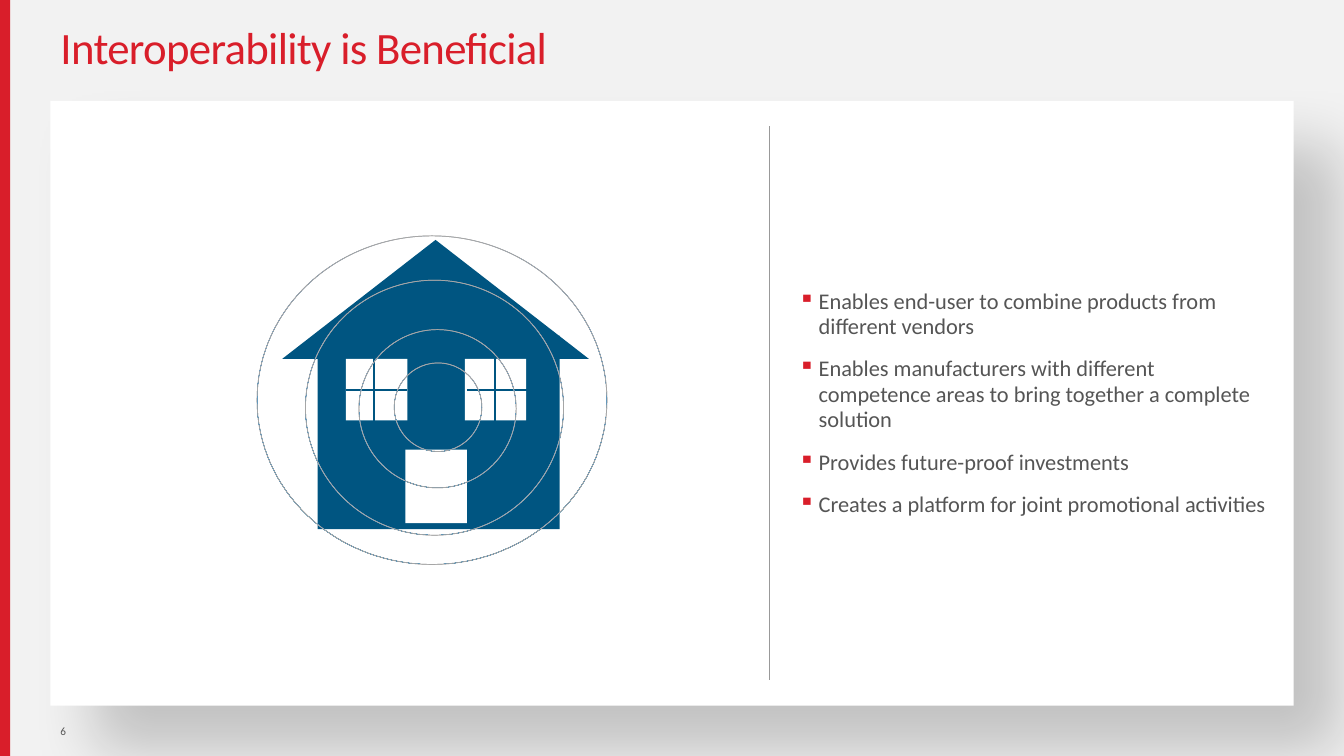
from lxml import etree
from pptx import Presentation
from pptx.dml.color import RGBColor
from pptx.enum.shapes import MSO_CONNECTOR as Link, MSO_SHAPE as Kind
from pptx.enum.text import MSO_ANCHOR as Anchor, PP_ALIGN as Align
from pptx.oxml import parse_xml
from pptx.oxml.ns import nsdecls, qn
from pptx.util import Inches, Pt

RED = RGBColor(0xD9, 0x1E, 0x2A)
BLUE = RGBColor(0x00, 0x55, 0x81)
WHITE = RGBColor(0xFF, 0xFF, 0xFF)
PALE = RGBColor(0xF2, 0xF2, 0xF2)
TEXT = RGBColor(0x55, 0x55, 0x55)
RING = RGBColor(0xA6, 0xA6, 0xA6)
RULE = RGBColor(0x99, 0x99, 0x99)


def add_form(home, kind, box, fill):
    form = home.add_shape(kind, *[Inches(n) for n in box])
    form.shadow.inherit = False
    form.fill.solid()
    form.fill.fore_color.rgb = fill
    form.line.fill.background()
    return form


def add_line(home, ends, color, width):
    line = home.add_connector(Link.STRAIGHT, *[Inches(n) for n in ends])
    line.line.color.rgb = color
    line.line.width = Pt(width)
    etree.SubElement(line._element.spPr, qn("a:effectLst"))


deck = Presentation()
deck.slide_width, deck.slide_height = Inches(13.33), Inches(7.5)
slide = deck.slides.add_slide(deck.slide_layouts[5])
slide.background.fill.solid()
slide.background.fill.fore_color.rgb = PALE
shapes = slide.shapes

# Red edge and white card with a soft shadow
add_form(shapes, Kind.RECTANGLE, (0, 0, 0.1, 7.5), RED)
card = add_form(shapes, Kind.RECTANGLE, (0.5, 1, 12.33, 6), WHITE)
glow = card._element.spPr.find(qn("a:effectLst"))
glow.append(parse_xml(
    f'<a:outerShdw {nsdecls("a")} blurRad="{Pt(45)}" dist="{Pt(45)}" dir="2700000" '
    'algn="tl" rotWithShape="0"><a:srgbClr val="000000"><a:alpha val="20000"/>'
    '</a:srgbClr></a:outerShdw>'))

# Title
title = shapes.title
title.left, title.top = Inches(0.5), Inches(0)
title.width, title.height = Inches(12.33), Inches(1)
frame = title.text_frame
frame.vertical_anchor = Anchor.MIDDLE
para = frame.paragraphs[0]
para.alignment = Align.LEFT
para.line_spacing = 0.9
run = para.add_run()
run.text = "Interoperability is Beneficial"
run.font.name, run.font.size = "Calibri", Pt(32)
run.font.color.rgb = RED
run._r.get_or_add_rPr().set("spc", "-50")

# Bullet list
points = [
    "Enables end-user to combine products from different vendors",
    "Enables manufacturers with different competence areas to bring together "
    "a complete solution",
    "Provides future-proof investments",
    "Creates a platform for joint promotional activities",
]
body = shapes.add_textbox(Inches(7.92), Inches(1.25), Inches(4.67), Inches(5.5))
frame = body.text_frame
frame.word_wrap = True
frame.vertical_anchor = Anchor.MIDDLE
frame.margin_left = frame.margin_right = 0
for i, point in enumerate(points):
    para = frame.add_paragraph() if i else frame.paragraphs[0]
    para.line_spacing = 0.95
    para.space_before = Pt(12 if i else 0)
    props = para._p.get_or_add_pPr()
    props.set("marL", str(Inches(0.2)))
    props.set("indent", str(-Inches(0.2)))
    tint = etree.SubElement(props, qn("a:buClr"))
    etree.SubElement(tint, qn("a:srgbClr"), val=str(RED))
    etree.SubElement(props, qn("a:buChar"), char="▪")
    run = para.add_run()
    run.text = point
    run.font.name, run.font.size = "Calibri", Pt(16)
    run.font.color.rgb = TEXT

# House: wall, roof, windows, door
house = shapes.add_group_shape().shapes
add_form(house, Kind.RECTANGLE, (3.15, 3.33, 2.4, 1.92), BLUE)
add_form(house, Kind.ISOSCELES_TRIANGLE, (2.8, 2.38, 3.04, 1.18), BLUE)
for left, top, high in [(3.43, 3.56, 0.61), (4.61, 3.56, 0.61), (4.02, 4.46, 0.73)]:
    add_form(house, Kind.RECTANGLE, (left, top, 0.61, high), WHITE)

# Window bars
for left in (3.43, 4.63):
    add_line(house, (left + 0.28, 3.55, left + 0.28, 4.18), BLUE, 1)
    add_line(house, (left, 3.87, left + 0.61, 3.87), BLUE, 1)

# Signal rings
rings = [
    (2.55, 2.34, 3.47, 3.26),
    (3.56, 3.27, 1.56, 1.57),
    (3.91, 3.6, 0.87, 0.88),
    (3.03, 2.78, 2.56, 2.53),
]
stops = [(0, "4B94E0"), (50, "0086D9"), (100, "0077C1")]
for box in rings:
    ring = add_form(house, Kind.DONUT, box, BLUE)
    ring.adjustments[0] = 0
    ring.fill.gradient()
    ring.fill.gradient_angle = 270
    marks = ring._element.spPr.find(qn("a:gradFill")).find(qn("a:gsLst"))
    for mark in list(marks):
        marks.remove(mark)
    for spot, tone in stops:
        mark = etree.SubElement(marks, qn("a:gs"), pos=str(spot * 1000))
        etree.SubElement(mark, qn("a:srgbClr"), val=tone)
    ring.line.color.rgb = RING
    ring.line.width = Pt(0.5)

# Divider
add_line(shapes, (7.63, 1.25, 7.63, 6.75), RULE, 0.75)

# Page number
page = shapes.add_textbox(Inches(0.5), Inches(7), Inches(0.35), Inches(0.5))
frame = page.text_frame
frame.word_wrap = True
frame.vertical_anchor = Anchor.MIDDLE
frame.margin_right = 0
run = frame.paragraphs[0].add_run()
run.text = "6"
run.font.name, run.font.size = "Calibri", Pt(8)
run.font.color.rgb = TEXT

deck.save("out.pptx")
